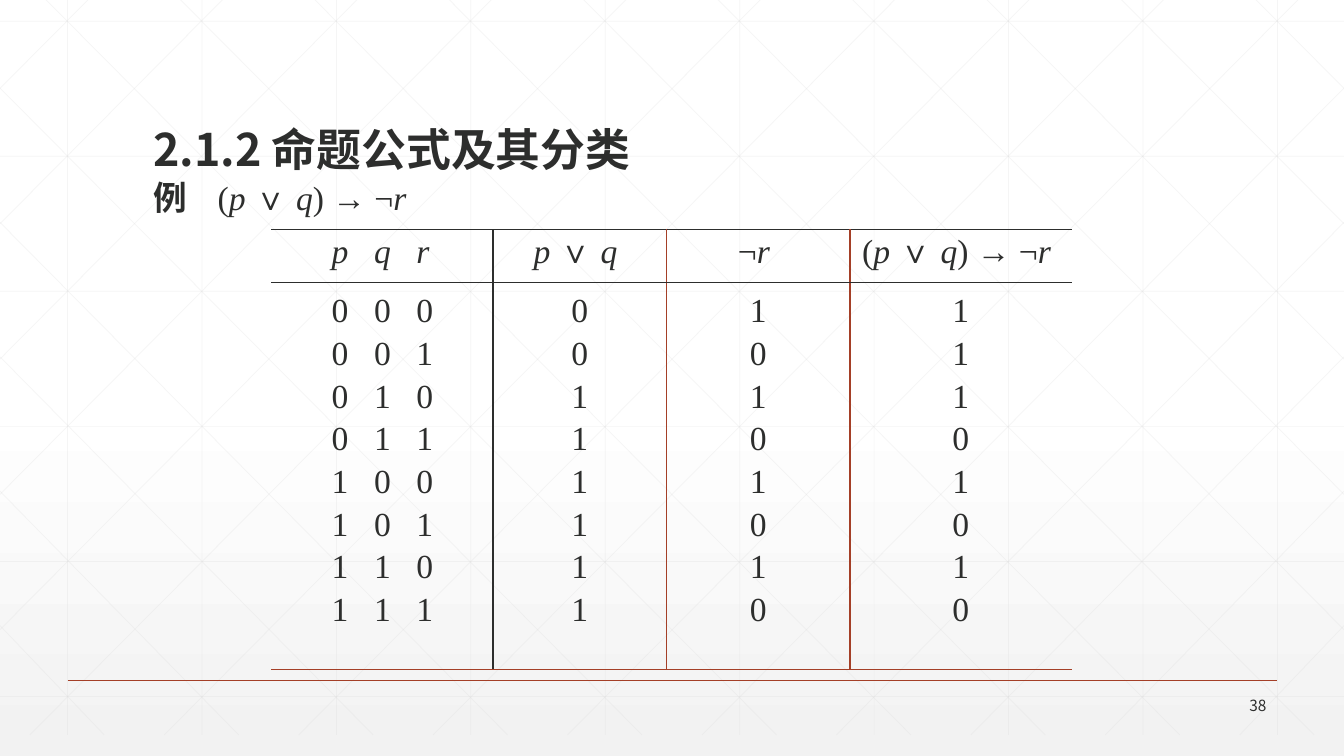
from copy import deepcopy
from dataclasses import dataclass
from itertools import groupby, product

from lxml.etree import SubElement
from pptx import Presentation
from pptx.dml.color import RGBColor
from pptx.enum.shapes import MSO_CONNECTOR
from pptx.enum.text import MSO_ANCHOR, PP_ALIGN
from pptx.oxml.ns import qn
from pptx.util import Inches, Pt


@dataclass(frozen=True)
class Theme:
    ink: str = "2D2E2D"
    accent: str = "A43F27"
    lattice: str = "D9D9D9"
    paper: str = "FFFFFF"
    paper_end: str = "F2F2F2"
    sans: str = "Noto Sans CJK SC"
    serif: str = "Times New Roman"
    title_size: int = 32
    text_size: int = 24
    number_size: int = 11


THEME = Theme()
WIDTH, HEIGHT = 13.33, 7.5
LATTICE_TOP, LATTICE_BOTTOM = -0.21, 7.29
LATTICE_STEP = 4 / 3
LETTER_TABS = (0.42, 0.84)


def paint_background(slide):
    fill = slide.background.fill
    fill.gradient()
    fill.gradient_angle = 270
    first, last = fill.gradient_stops
    first.position, last.position = 0, 1
    first.color.rgb = RGBColor.from_string(THEME.paper)
    last.color.rgb = RGBColor.from_string(THEME.paper_end)
    first_stop = next(slide.element.iter(qn("a:gs")))
    middle_stop = deepcopy(first_stop)
    middle_stop.set("pos", "53000")
    first_stop.addnext(middle_stop)


def add_line(slide, start, end, color, width, opacity=100):
    ends = [Inches(value) for value in (*start, *end)]
    line = slide.shapes.add_connector(MSO_CONNECTOR.STRAIGHT, *ends)
    line.line.color.rgb = RGBColor.from_string(color)
    line.line.width = Pt(width)
    properties = line.element.spPr
    if opacity < 100:
        tint = next(properties.iter(qn("a:srgbClr")))
        SubElement(tint, qn("a:alpha"), val=str(opacity * 1000))
    SubElement(properties, qn("a:effectLst"))


def add_lattice(slide):
    lines = []
    for column in range(10):
        x = 0.67 + LATTICE_STEP * column
        lines.append(((x, LATTICE_TOP), (x, LATTICE_BOTTOM)))
    for row in range(6):
        y = 0.21 + 1.34 * row
        lines.append(((0, y), (WIDTH, y)))
    for diagonal in range(-5, 10):
        top_x = 0.25 + LATTICE_STEP * diagonal
        left = max(top_x, 0)
        right = min(top_x + 7.45, WIDTH)
        upper = LATTICE_TOP + left - top_x
        lower = LATTICE_TOP + (right - top_x) * 7.5 / 7.45
        lines.append(((left, upper), (right, lower)))
        lines.append(((WIDTH - left, upper), (WIDTH - right, lower)))
    for start, end in lines:
        add_line(slide, start, end, THEME.lattice, 0.5, 25)


def format_run(run, size, face, bold=False, italic=False):
    font = run.font
    font.size, font.name, font.bold, font.italic = Pt(size), face, bold, italic
    font.color.rgb = RGBColor.from_string(THEME.ink)
    SubElement(run._r.get_or_add_rPr(), qn("a:ea"), typeface=face)


def add_math(paragraph, formula):
    for italic, letters in groupby(formula, str.isalpha):
        run = paragraph.add_run()
        run.text = "".join(letters)
        format_run(run, THEME.text_size, THEME.serif, italic=italic)


def set_tabs(paragraph, positions):
    tabs = SubElement(paragraph._p.get_or_add_pPr(), qn("a:tabLst"))
    for position in positions:
        SubElement(tabs, qn("a:tab"), pos=str(Inches(position)), algn="l")


def add_text(slide, box, text, size, bold=False, anchor=MSO_ANCHOR.TOP,
             align=PP_ALIGN.LEFT, spacing=0.9):
    frame = slide.shapes.add_textbox(*map(Inches, box)).text_frame
    frame.word_wrap = True
    frame.vertical_anchor = anchor
    paragraph = frame.paragraphs[0]
    paragraph.text = text
    paragraph.alignment = align
    paragraph.line_spacing = spacing
    format_run(paragraph.runs[0], size, THEME.sans, bold)
    return paragraph


def set_borders(cell, **colors):
    properties = cell._tc.get_or_add_tcPr()
    for side in "LRTB":
        color = colors.get(side)
        border = SubElement(properties, qn(f"a:ln{side}"), w=str(Pt(1)))
        if color:
            fill = SubElement(border, qn("a:solidFill"))
            SubElement(fill, qn("a:srgbClr"), val=color)
        else:
            SubElement(border, qn("a:noFill"))


def fill_cell(cell, lines, tabbed, spacing):
    frame = cell.text_frame
    for index, line in enumerate(lines):
        paragraph = frame.add_paragraph() if index else frame.paragraphs[0]
        if tabbed:
            set_tabs(paragraph, LETTER_TABS)
        paragraph.alignment = PP_ALIGN.LEFT if tabbed else PP_ALIGN.CENTER
        paragraph.line_spacing = spacing
        add_math(paragraph, line)
    if tabbed:
        cell.margin_left = Inches(0.6)


def add_truth_table(slide):
    widths, heights = (2.2, 1.72, 1.82, 2.2), (0.52, 3.84)
    box = map(Inches, (2.69, 2.28, sum(widths), sum(heights)))
    table = slide.shapes.add_table(2, 4, *box).table
    table.first_row = table.horz_banding = False
    for column, width in zip(table.columns, widths):
        column.width = Inches(width)
    for row, height in zip(table.rows, heights):
        row.height = Inches(height)

    cases = list(product((0, 1), repeat=3))
    headers = ("p\tq\tr", "p ∨ q ", "¬r ", "(p ∨ q) → ¬r ")
    values = (
        ["\t".join(map(str, case)) for case in cases],
        [str(p | q) for p, q, r in cases],
        [str(1 - r) for p, q, r in cases],
        [str(int(not (p or q) or not r)) for p, q, r in cases],
    )
    verticals = (None, THEME.ink, THEME.accent, THEME.accent, None)
    horizontals = (THEME.ink, THEME.ink, THEME.accent)
    for column, (header, results) in enumerate(zip(headers, values)):
        for row, lines in enumerate(([header], results)):
            cell = table.cell(row, column)
            set_borders(cell, L=verticals[column], R=verticals[column + 1],
                        T=horizontals[row], B=horizontals[row + 1])
            cell.fill.background()
            cell.vertical_anchor = MSO_ANCHOR.TOP if row else MSO_ANCHOR.MIDDLE
            fill_cell(cell, lines, column == 0, 1.15 if row else 0.7)


def main():
    deck = Presentation()
    deck.slide_width, deck.slide_height = Inches(WIDTH), Inches(HEIGHT)
    slide = deck.slides.add_slide(deck.slide_layouts[6])
    paint_background(slide)
    add_lattice(slide)
    add_line(slide, (0.67, 6.75), (12.67, 6.75), THEME.accent, 1)
    add_text(slide, (11.66, 6.88, 1, 0.24), "38", THEME.number_size,
             anchor=MSO_ANCHOR.MIDDLE, align=PP_ALIGN.RIGHT, spacing=1.0)
    example = add_text(slide, (1.42, 1.75, 10.5, 0.58), "例",
                       THEME.text_size, bold=True)
    set_tabs(example, [0.64])
    add_math(example, "\t(p ∨ q) → ¬r")
    add_truth_table(slide)
    add_text(slide, (1.42, 0.55, 10.5, 1.25), "2.1.2 命题公式及其分类",
             THEME.title_size, bold=True, anchor=MSO_ANCHOR.BOTTOM)
    deck.save("out.pptx")


if __name__ == "__main__":
    main()
